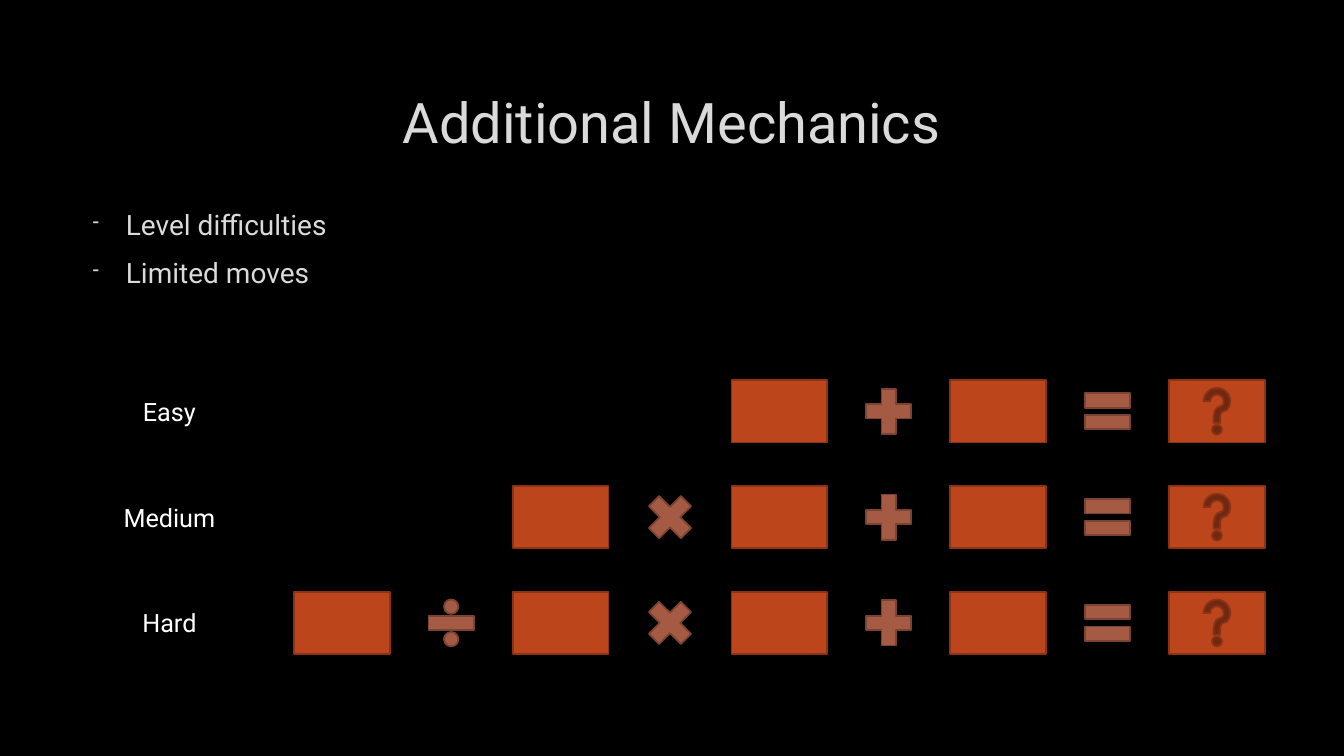
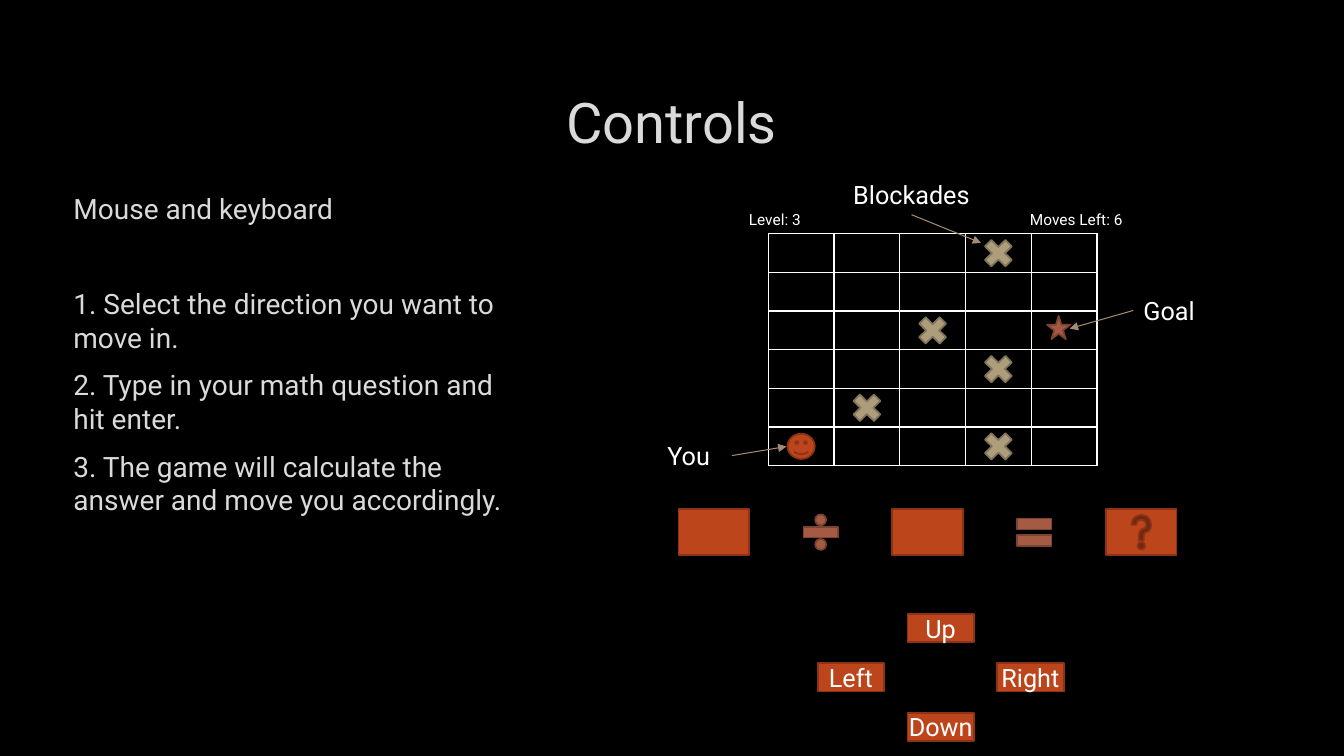
from lxml import etree
from pptx import Presentation
from pptx.dml.color import RGBColor
from pptx.enum import shapes, text
from pptx.oxml.ns import qn
from pptx.util import Inches, Pt

# Content
LEVELS = [("Easy", "□+□=?"), ("Medium", "□×□+□=?"), ("Hard", "□÷□×□+□=?")]
MECHANICS = ["Level difficulties", "Limited moves"]
CONTROLS = ["Mouse and keyboard",
            "1. Select the direction you want to move in.",
            "2. Type in your math question and hit enter.",
            "3. The game will calculate the answer and move you accordingly."]
BLOCKADES = [(0, 3), (2, 2), (3, 3), (4, 1), (5, 3)]  # row, column
PLAYER = (5, 0)
GOAL = (10.5, 3.25)
BUTTONS = [("Up", 0, -1), ("Left", -1, 0), ("Right", 1, 0), ("Down", 0, 1)]
STATUS = [("Level: 3", 6.76), ("Moves Left: 6", 9.75)]
# Label, its box, the side an arrow leaves from, the arrow's tip
CALLOUTS = [("Blockades", (8.35, 1.73, 1.38, 0.4), 2, (9.73, 2.41)),
            ("You", (6.4, 4.32, 0.86, 0.4), 3, (7.8, 4.43)),
            ("Goal", (11.24, 2.88, 0.71, 0.4), 1, (10.61, 3.26))]

# Shared style
FONT = "Roboto"
BLACK = RGBColor(0x00, 0x00, 0x00)
WHITE = RGBColor(0xFF, 0xFF, 0xFF)
GREY = RGBColor(0xDA, 0xDA, 0xDA)
ARROW = RGBColor(0xA5, 0x8B, 0x72)
# Fill and line
ORANGE = RGBColor(0xBC, 0x45, 0x1B), RGBColor(0x8B, 0x33, 0x14)
RUST = RGBColor(0xA5, 0x5A, 0x43), RGBColor(0x7A, 0x43, 0x32)
SAND = RGBColor(0xAD, 0x9D, 0x7B), RGBColor(0x80, 0x74, 0x5B)
TITLE = {"size": Pt(40), "color": GREY}
BODY = {"size": Pt(20), "color": GREY}
LABEL = {"size": Pt(18), "color": WHITE}
SMALL = {"size": Pt(11), "color": WHITE}

SHAPE = shapes.MSO_SHAPE
TOKENS = {"□": SHAPE.RECTANGLE, "?": SHAPE.ACTION_BUTTON_HELP,
          "+": SHAPE.MATH_PLUS, "×": SHAPE.MATH_MULTIPLY,
          "÷": SHAPE.MATH_DIVIDE, "=": SHAPE.MATH_EQUAL}

# Board geometry
BOARD_X, BOARD_Y, ROWS, COLS = 7.62, 2.32, 6, 5
BOARD_W, BOARD_H = 3.26, 2.3


def write(p, words, fmt):
    r = p.add_run()
    r.text = words
    r.font.name = FONT
    r.font.size = fmt["size"]
    r.font.color.rgb = fmt["color"]


def set_frame(tf, **values):
    for name, value in values.items():
        setattr(tf, name, value)


def no_insets(tf):
    set_frame(tf, margin_left=0, margin_right=0, margin_top=0, margin_bottom=0,
              vertical_anchor=text.MSO_ANCHOR.MIDDLE)


def add_label(s, words, box, fmt=LABEL):
    tb = s.shapes.add_textbox(*map(Inches, box))
    tf = tb.text_frame
    tf.word_wrap = True
    no_insets(tf)
    tf.paragraphs[0].alignment = text.PP_ALIGN.CENTER
    write(tf.paragraphs[0], words, fmt)
    return tb


def add_body(s, lines, box, bullet=None, first_gap=4):
    tf = s.shapes.add_textbox(*map(Inches, box)).text_frame
    tf.word_wrap = True
    for i, line in enumerate(lines):
        p = tf.paragraphs[0] if i == 0 else tf.add_paragraph()
        p.space_before = Pt(first_gap if i == 1 else 4)
        p.space_after = Pt(6)
        write(p, line, BODY)
        if bullet:
            pPr = p._p.get_or_add_pPr()
            pPr.set("marL", str(Inches(0.38)))
            pPr.set("indent", str(Inches(-0.33)))
            color = etree.SubElement(pPr, qn("a:buClr"))
            etree.SubElement(color, qn("a:srgbClr"), val=str(GREY))
            etree.SubElement(pPr, qn("a:buSzPct"), val="70000")
            etree.SubElement(pPr, qn("a:buChar"), char=bullet)


def add_centred(s, kind, cx, cy, w, h, colors):
    sp = s.shapes.add_shape(kind, Inches(cx - w / 2), Inches(cy - h / 2),
                            Inches(w), Inches(h))
    sp.shadow.inherit = False
    sp.fill.solid()
    sp.fill.fore_color.rgb, sp.line.color.rgb = colors
    sp.line.width = Pt(1.25)
    return sp


def add_equation(s, tokens, end_x, cy, pitch, box, sign):
    """Boxes and signs alternate, half a pitch apart, ending at end_x."""
    for i, token in enumerate(reversed(tokens)):
        is_box = token in "□?"
        w, h = box if is_box else (sign, sign)
        add_centred(s, TOKENS[token], end_x - i * pitch / 2, cy, w, h,
                    ORANGE if is_box else RUST)


def add_board(s):
    table = s.shapes.add_table(ROWS, COLS, *map(Inches, (
        BOARD_X, BOARD_Y, BOARD_W, BOARD_H))).table
    table.first_row = table.horz_banding = False
    for cell in table.iter_cells():
        set_frame(cell, margin_left=0, margin_right=0,
                  margin_top=0, margin_bottom=0)
        tcPr = cell._tc.get_or_add_tcPr()
        for side in ("lnL", "lnR", "lnT", "lnB"):
            ln = etree.SubElement(tcPr, qn("a:" + side), w=str(Pt(1)))
            fill = etree.SubElement(ln, qn("a:solidFill"))
            etree.SubElement(fill, qn("a:srgbClr"), val=str(WHITE))
        cell.fill.background()


def cell_centre(row, col):
    return (BOARD_X + (col + 0.5) * BOARD_W / COLS,
            BOARD_Y + (row + 0.5) * BOARD_H / ROWS)


def add_arrow(s, label, side, tip):
    x, y = map(Inches, tip)
    line = s.shapes.add_connector(shapes.MSO_CONNECTOR.STRAIGHT, x, y, x, y)
    line.begin_connect(label, side)
    line.line.color.rgb = ARROW
    line.line.width = Pt(0.75)
    etree.SubElement(line.line._get_or_add_ln(), qn("a:tailEnd"), type="triangle")
    etree.SubElement(line._element.spPr, qn("a:effectLst"))


def new_slide(prs, title):
    s = prs.slides.add_slide(prs.slide_layouts[6])
    s.background.fill.solid()
    s.background.fill.fore_color.rgb = BLACK
    add_label(s, title, (1, 0.67, 11.32, 1.06), TITLE)
    return s


def mechanics_slide(prs):
    s = new_slide(prs, "Additional Mechanics")
    add_body(s, MECHANICS, (0.77, 2.01, 5.25, 1.59), bullet="-")
    # One equation per difficulty
    for i, (name, tokens) in enumerate(LEVELS):
        cy = 4.08 + 1.05 * i
        add_label(s, name, (1.12, cy - 0.2, 1.12, 0.4))
        add_equation(s, tokens, 12.07, cy, 2.17, (0.95, 0.62), 0.61)


def controls_slide(prs):
    s = new_slide(prs, "Controls")
    add_body(s, CONTROLS, (0.63, 1.85, 4.53, 4.94), first_gap=38)

    # Game board with its pieces
    add_board(s)
    for place in BLOCKADES:
        add_centred(s, SHAPE.MATH_MULTIPLY, *cell_centre(*place), 0.39, 0.38, SAND)
    add_centred(s, SHAPE.SMILEY_FACE, *cell_centre(*PLAYER), 0.27, 0.25, ORANGE)
    add_centred(s, SHAPE.STAR_5_POINT, *GOAL, 0.23, 0.23, RUST)

    # Status and callouts
    for words, x in STATUS:
        add_label(s, words, (x, 2.03, 1.85, 0.29), SMALL)
    for words, box, side, tip in CALLOUTS:
        add_arrow(s, add_label(s, words, box), side, tip)

    # Question and direction buttons
    add_equation(s, "□÷□=?", 11.32, 5.28, 2.12, (0.7, 0.46), 0.46)
    for words, dx, dy in BUTTONS:
        sp = add_centred(s, SHAPE.RECTANGLE, 9.33 + 0.89 * dx, 6.72 + 0.49 * dy,
                         0.66, 0.28, ORANGE)
        no_insets(sp.text_frame)
        sp.text_frame.word_wrap = False
        sp.text_frame.paragraphs[0].alignment = text.PP_ALIGN.CENTER
        write(sp.text_frame.paragraphs[0], words, LABEL)


def main():
    prs = Presentation()
    prs.slide_width, prs.slide_height = Inches(13.33), Inches(7.5)
    mechanics_slide(prs)
    controls_slide(prs)
    prs.save("out.pptx")


if __name__ == "__main__":
    main()
